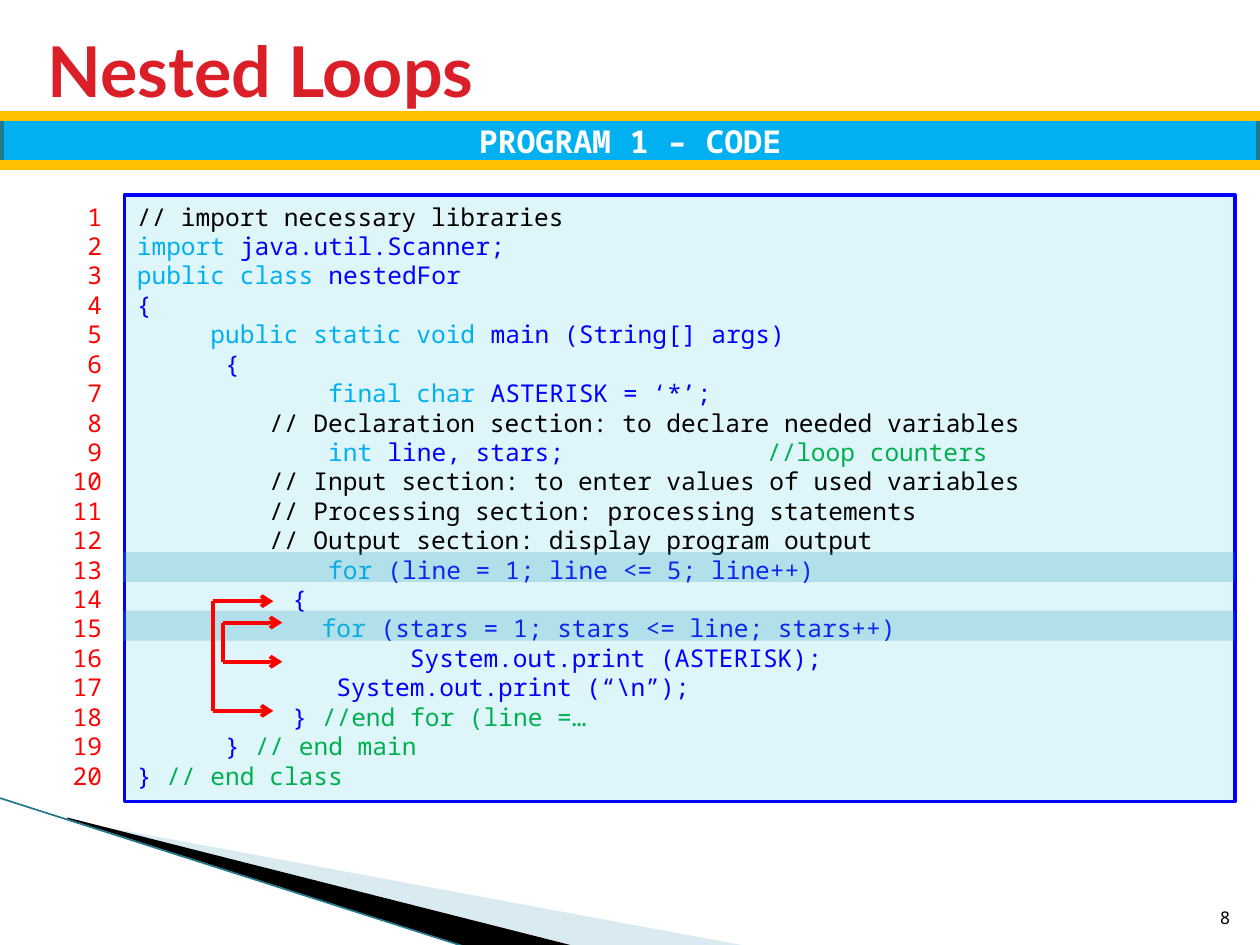
"""Build the Nested Loops code slide."""
from pptx import Presentation
from pptx import util as u
from pptx.dml.color import RGBColor
from pptx.enum import shapes, text
from pptx.oxml.ns import qn
from lxml import etree

COLORS = {
    "title": "DA1F28", "banner": "00B0F0", "edge": "21788D", "gold": "FFC000",
    "panel": "DEF5FA", "code": "0000FF", "word": "00B0F0", "note": "00B050",
    "plain": "000000", "number": "FF0000", "mark": "2DA2BF", "white": "FFFFFF",
    "wave": "A0CBDC",
}
MONO = "Noto Sans Mono"
LINE_PITCH = 16.8
PITCH_CM = LINE_PITCH / 72 * 2.54
PANEL_TOP, PANEL_HEIGHT = 3.94, 12.22
TAB_STEP, TAB_COUNT = 2.54, 5

CODE = [
    [("plain", "// import necessary libraries")],
    [("word", "import "), ("code", "java.util.Scanner;")],
    [("word", "public class "), ("code", "nestedFor")],
    [("code", "{")],
    [("word", "     public static void"), ("code", " main (String[] args)")],
    [("code", "      {")],
    [("word", "             final char"), ("code", " ASTERISK = ‘*’;")],
    [("plain", "         // Declaration section: to declare needed variables")],
    [("word", "             int "), ("code", "line, stars;\t\t"), ("note", "//loop counters")],
    [("plain", "         // Input section: to enter values of used variables")],
    [("plain", "         // Processing section: processing statements")],
    [("plain", "         // Output section: display program output")],
    [("word", "             for"), ("code", " (line = 1; line <= 5; line++)")],
    [("code", "\t  {")],
    [("word", "\t    for"), ("code", " (stars = 1; stars <= line; stars++)")],
    [("code", "\t          System.out.print (ASTERISK);")],
    [("code", "\t     System.out.print (“\\n”);")],
    [("code", "\t  } "), ("note", "//end for (line =…")],
    [("code", "      } "), ("note", "// end main")],
    [("code", "} "), ("note", "// end class")],
]


def rgb(name):
    """Return the named colour."""
    return RGBColor.from_string(COLORS[name])


def paint(shape, fill, line=None, width=0, alpha=None):
    """Set the fill, outline and opacity percentage of a shape."""
    shape.shadow.inherit = False
    shape.fill.solid()
    shape.fill.fore_color.rgb = rgb(fill)
    if alpha:
        color = shape.fill._xPr.find(qn("a:solidFill"))[0]
        etree.SubElement(color, qn("a:alpha"), val=str(alpha * 1000))
    if line:
        shape.line.color.rgb = rgb(line)
        shape.line.width = u.Pt(width)
    else:
        shape.line.fill.background()


def add_box(page, left, top, width, height):
    """Add a plain rectangle."""
    return page.shapes.add_shape(
        shapes.MSO_SHAPE.RECTANGLE, u.Cm(left), u.Cm(top), u.Cm(width), u.Cm(height))


def add_text_box(page, left, top, width, height):
    """Add a wrapping text box."""
    box = page.shapes.add_textbox(u.Cm(left), u.Cm(top), u.Cm(width), u.Cm(height))
    box.text_frame.word_wrap = True
    return box


def add_tab_stops(para):
    """Give a paragraph evenly spaced left tab stops."""
    stops = etree.SubElement(para._p.get_or_add_pPr(), qn("a:tabLst"))
    for index in range(1, TAB_COUNT + 1):
        etree.SubElement(stops, qn("a:tab"), pos=str(u.Cm(index * TAB_STEP)), algn="l")


def write_lines(box, lines, size, font=MONO, bold=False, align=text.PP_ALIGN.LEFT,
                anchor=text.MSO_ANCHOR.TOP, pitch=None):
    """Write lines of (colour, words) spans into a box."""
    frame = box.text_frame
    frame.vertical_anchor = anchor
    for index, line in enumerate(lines):
        para = frame.add_paragraph() if index else frame.paragraphs[0]
        para.alignment = align
        if pitch:
            para.line_spacing = u.Pt(pitch)
        if any("\t" in words for _, words in line):
            add_tab_stops(para)
        for color, words in line:
            span = para.add_run()
            span.text = words
            span.font.name = font
            span.font.size = u.Pt(size)
            span.font.bold = bold
            span.font.color.rgb = rgb(color)


def add_line(page, start, end, color, width, arrow=False):
    """Add a straight line, with an arrowhead at its end if asked."""
    line = page.shapes.add_connector(
        shapes.MSO_CONNECTOR.STRAIGHT, *(u.Cm(value) for value in (*start, *end)))
    line.line.color.rgb = rgb(color)
    line.line.width = u.Pt(width)
    if arrow:
        etree.SubElement(line.line._get_or_add_ln(), qn("a:tailEnd"), type="arrow")
    etree.SubElement(line._element.spPr, qn("a:effectLst"))


def add_outline(page, points, fill, alpha=None):
    """Add a closed filled outline through the points."""
    first, *rest = [(u.Cm(x), u.Cm(y)) for x, y in points]
    builder = page.shapes.build_freeform(*first)
    builder.add_line_segments(rest, close=True)
    paint(builder.convert_to_shape(), fill, alpha=alpha)


def add_bracket(page, left, right, top, bottom):
    """Add a loop bracket with an arrow at each end."""
    add_line(page, (left, top), (left, bottom), "number", 2.25)
    for y in (top, bottom):
        add_line(page, (left, y), (right, y), "number", 2.25, arrow=True)


def add_decoration(page):
    """Add the sweeping wedges at the foot of the page."""
    add_outline(page, [(1.4, 16.54), (15.11, 19.08), (11.58, 19.08), (1.4, 16.51)], "wave", 40)
    add_outline(page, [(1.35, 16.48), (11.61, 19.08), (9.45, 19.1), (1.37, 16.51)], "plain")
    add_line(page, (-0.03, 16.08), (9.42, 19.1), "edge", 0.95)


def add_header(page):
    """Add the title and the banner between gold rules."""
    middle = text.MSO_ANCHOR.MIDDLE
    banner = add_box(page, 0, 2.34, 25.4, 0.99)
    paint(banner, "banner", "edge", 4.33)
    write_lines(banner, [[("white", "PROGRAM 1 – CODE")]], 18, bold=True,
                align=text.PP_ALIGN.CENTER, anchor=middle)
    title = add_text_box(page, 0.71, 0.33, 22.66, 2.16)
    write_lines(title, [[("title", "Nested Loops")]], 40, "Lato", True, anchor=middle)
    for y in (2.34, 3.33):
        add_line(page, (0, y), (25.4, y), "gold", 6)


def add_listing(page):
    """Add the numbered code with its highlighted loop lines."""
    panel = add_box(page, 2.51, PANEL_TOP, 22.38, PANEL_HEIGHT)
    paint(panel, "panel", "code", 2.25)
    write_lines(panel, CODE, 14, pitch=LINE_PITCH)
    numbers = add_text_box(page, 0.51, PANEL_TOP, 1.8, PANEL_HEIGHT)
    labels = [[("number", str(number))] for number in range(1, len(CODE) + 1)]
    write_lines(numbers, labels, 14, align=text.PP_ALIGN.RIGHT, pitch=LINE_PITCH)
    for number in (13, 15):
        top = PANEL_TOP + 0.08 + (number - 1) * PITCH_CM
        paint(add_box(page, 2.49, top, 22.4, 0.6), "mark", alpha=25)


def main():
    """Build and save the slide."""
    deck = Presentation()
    deck.slide_width, deck.slide_height = u.Cm(25.4), u.Cm(19.05)
    page = deck.slides.add_slide(deck.slide_layouts[6])
    add_decoration(page)
    add_header(page)
    add_listing(page)
    add_bracket(page, 4.29, 5.51, 12.12, 14.33)
    add_bracket(page, 4.5, 5.69, 12.55, 13.34)
    number = add_text_box(page, 24.03, 17.81, 1.02, 1.02)
    write_lines(number, [[("plain", "8")]], 10, align=text.PP_ALIGN.RIGHT,
                anchor=text.MSO_ANCHOR.BOTTOM)
    deck.save("out.pptx")


if __name__ == "__main__":
    main()
